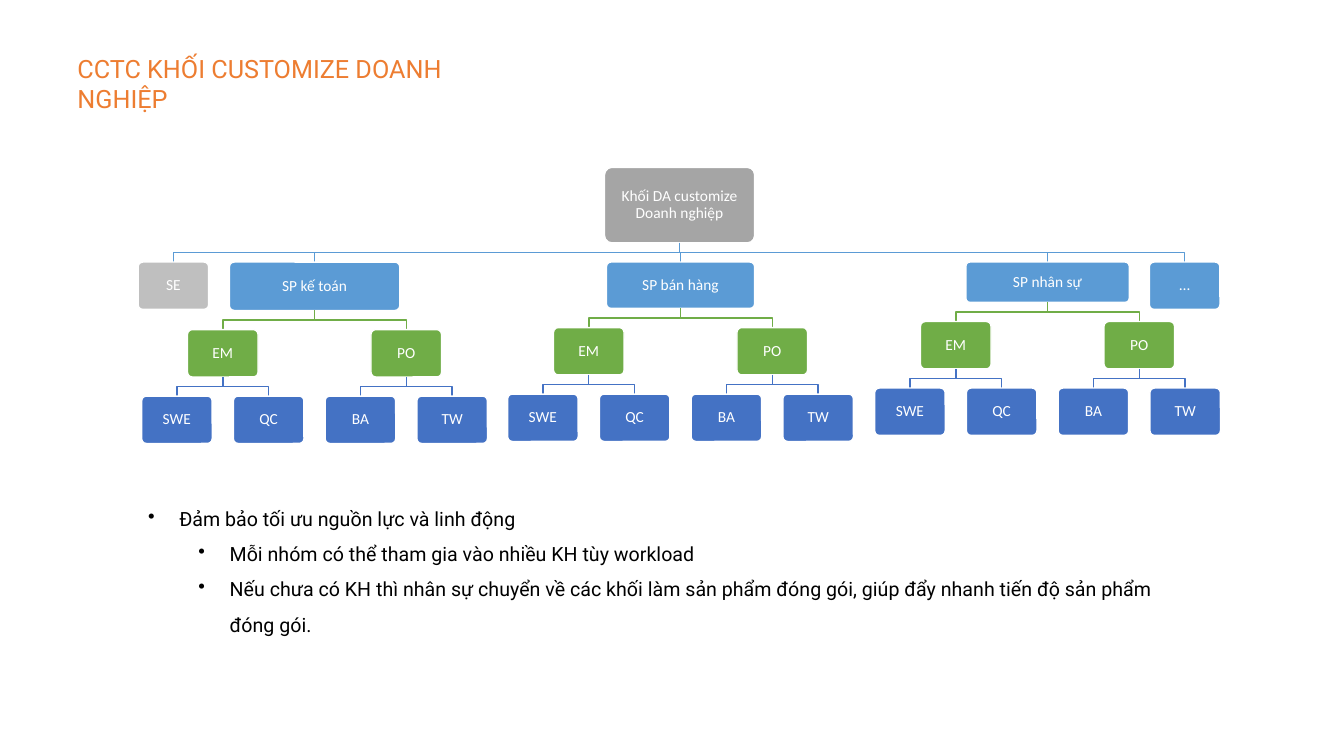
from dataclasses import dataclass

from lxml import etree
from pptx import Presentation
from pptx import util as u
from pptx.dml.color import RGBColor
from pptx.enum import shapes, text
from pptx.oxml import ns


@dataclass(frozen=True)
class Theme:
    """Colours, fonts and type sizes of the slide."""
    title: str = "ED7D31"
    body: str = "000000"
    white: str = "FFFFFF"
    root: str = "A5A5A5"
    muted: str = "BFBFBF"
    product: str = "5B9BD5"
    lead: str = "70AD47"
    member: str = "4472C4"
    text_font: str = "Roboto"
    box_font: str = "Calibri"
    title_size: int = 18
    body_size: int = 14
    box_size: int = 11


@dataclass
class Node:
    """A box of the organisation chart with the boxes below it."""
    label: str
    fill: str
    x: float
    w: float = 0.7
    h: float = 0.47
    children: tuple = ()


class OrgSlide:
    """Draws the elements of one slide in one theme."""

    GAP = 0.19

    def __init__(self, s, theme):
        """Keep the slide and its theme."""
        self.s, self.theme = s, theme

    def apply(self, obj, values):
        """Set each value on the object."""
        for name, value in values.items():
            setattr(obj, name, value)

    def add_text(self, p, content, font, size, color):
        """Put one formatted run into a paragraph."""
        r = p.add_run()
        r.text = content
        self.apply(r.font, {"name": font, "size": u.Pt(size)})
        r.font.color.rgb = RGBColor.from_string(color)

    def outline(self, sp, color):
        """Give a shape a one-point line and no shadow."""
        sp.shadow.inherit = False
        sp.line.color.rgb = RGBColor.from_string(color)
        sp.line.width = u.Pt(1)

    def text_box(self, x, y, w, h, anchor):
        """Add a wrapping text box and return its text frame."""
        tf = self.s.shapes.add_textbox(*map(u.Inches, (x, y, w, h))).text_frame
        self.apply(tf, {"word_wrap": True, "vertical_anchor": anchor})
        return tf

    def title(self, content, x, y, w, h):
        """Add the slide title."""
        t = self.theme
        tf = self.text_box(x, y, w, h, text.MSO_ANCHOR.TOP)
        self.add_text(tf.paragraphs[0], content, t.text_font, t.title_size, t.title)

    def bullets(self, items, x, y, w, h):
        """Add a list of (level, wording) items."""
        t = self.theme
        tf = self.text_box(x, y, w, h, text.MSO_ANCHOR.MIDDLE)
        for i, (level, content) in enumerate(items):
            p = tf.add_paragraph() if i else tf.paragraphs[0]
            self.apply(p, {"level": level, "line_spacing": 1.5})
            pPr = p._p.get_or_add_pPr()
            pPr.set("marL", str(u.Inches(0.31 + 0.5 * level)))
            pPr.set("indent", str(u.Inches(-0.31)))
            etree.SubElement(pPr, ns.qn("a:buChar")).set("char", "•")
            self.add_text(p, content, t.text_font, t.body_size, t.body)

    def box(self, node, y):
        """Add a rounded box with its label."""
        t = self.theme
        sp = self.s.shapes.add_shape(
            shapes.MSO_SHAPE.ROUNDED_RECTANGLE,
            *map(u.Inches, (node.x - node.w / 2, y, node.w, node.h)))
        sp.adjustments[0] = 0.1
        sp.fill.solid()
        sp.fill.fore_color.rgb = RGBColor.from_string(node.fill)
        self.outline(sp, t.white)
        tf = sp.text_frame
        self.apply(tf, {"word_wrap": True, "vertical_anchor": text.MSO_ANCHOR.MIDDLE})
        sides = ("left", "right", "top", "bottom")
        self.apply(tf, {f"margin_{side}": u.Inches(0.06) for side in sides})
        p = tf.paragraphs[0]
        self.apply(p, {"alignment": text.PP_ALIGN.CENTER, "line_spacing": 0.9})
        self.add_text(p, node.label, t.box_font, t.box_size, t.white)

    def elbow(self, x1, y1, x2, y2, color):
        """Add a branch line that turns halfway down."""
        mid = (y1 + y2) / 2
        points = [(u.Inches(x), u.Inches(y))
                  for x, y in ((x1, y1), (x1, mid), (x2, mid), (x2, y2))]
        builder = self.s.shapes.build_freeform(*points[0])
        builder.add_line_segments(points[1:], close=False)
        sp = builder.convert_to_shape()
        sp.fill.background()
        self.outline(sp, color)

    def tree(self, node, y, branch):
        """Draw a node and everything below it."""
        t = self.theme
        below = {t.product: t.lead, t.lead: t.member}
        bottom = y + node.h
        self.box(node, y)
        for child in node.children:
            self.elbow(node.x, bottom, child.x, bottom + self.GAP, branch)
            self.tree(child, bottom + self.GAP, below.get(child.fill))


def product(t, label, x, w, h):
    """Build a product team with its two leads and four members."""
    teams = (("EM", -0.91, ("SWE", "QC")), ("PO", 0.91, ("BA", "TW")))
    leads = tuple(
        Node(lead, t.lead, x + dx, children=tuple(
            Node(role, t.member, x + dx + side * 0.91 / 2)
            for role, side in zip(roles, (-1, 1))))
        for lead, dx, roles in teams)
    return Node(label, t.product, x, w, h, leads)


def main():
    """Build the slide and save it."""
    prs = Presentation()
    prs.slide_width, prs.slide_height = u.Inches(13.33), u.Inches(7.5)
    t = Theme()
    slide = OrgSlide(prs.slides.add_slide(prs.slide_layouts[6]), t)
    slide.bullets([
        (0, "Đảm bảo tối ưu nguồn lực và linh động"),
        (1, "Mỗi nhóm có thể tham gia vào nhiều KH tùy workload"),
        (1, "Nếu chưa có KH thì nhân sự chuyển về các khối làm sản phẩm "
            "đóng gói, giúp đẩy nhanh tiến độ sản phẩm đóng gói."),
    ], 1.37, 4.87, 10.43, 1.48)
    slide.title("CCTC KHỐI CUSTOMIZE DOANH NGHIỆP", 0.67, 0.48, 4.27, 0.4)
    root = Node("Khối DA customize Doanh nghiệp", t.root, 6.74, 1.49, 0.75, (
        Node("SE", t.muted, 1.72),
        product(t, "SP kế toán", 3.12, 1.69, 0.48),
        product(t, "SP bán hàng", 6.75, 1.47, 0.46),
        product(t, "SP nhân sự", 10.39, 1.62, 0.4),
        Node("…", t.product, 11.75),
    ))
    slide.tree(root, 1.66, t.product)
    prs.save("out.pptx")


if __name__ == "__main__":
    main()
